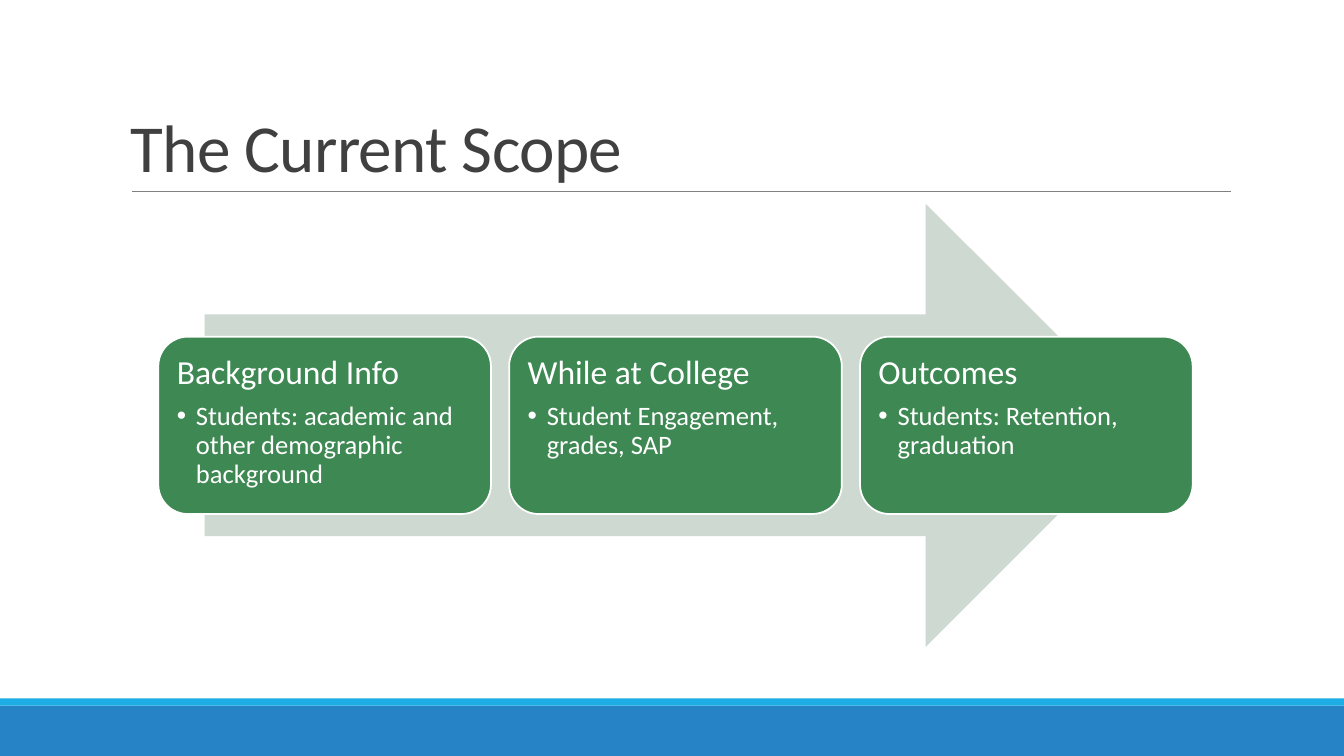
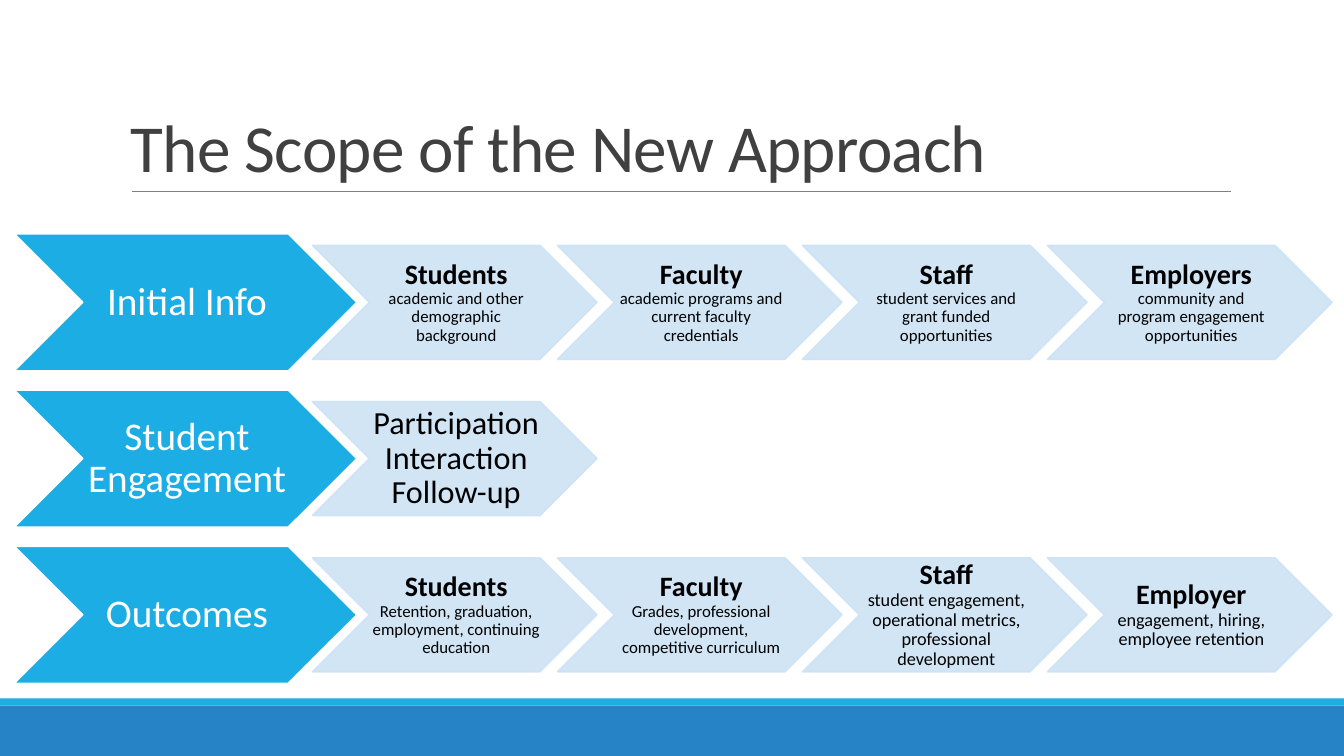
from dataclasses import dataclass

from lxml.etree import SubElement
from pptx import Presentation
from pptx.dml.color import RGBColor
from pptx.enum.shapes import MSO_CONNECTOR, MSO_SHAPE
from pptx.enum.text import MSO_ANCHOR, PP_ALIGN
from pptx.oxml.ns import qn
from pptx.util import Inches, Pt


@dataclass(frozen=True)
class Theme:
    """Colours, font and type sizes of the deck."""
    font: str = "Calibri"
    white: str = "FFFFFF"
    black: str = "000000"
    title: str = "404040"
    rule: str = "808080"
    band: str = "2683C6"
    accent: str = "1CADE4"
    arrow: str = "CEDAD1"
    stage: str = "3E8853"
    step: str = "CDE3F5"
    step_opacity: int = 90
    outline: float = 1.25
    title_size: int = 48
    stage_size: int = 24
    bullet_size: int = 19
    row_size: int = 28
    head_size: int = 20


THEME = Theme()

SCOPE_TITLE = "The Current Scope"
STAGES = [
    ("Background Info", "Students: academic and other demographic background"),
    ("While at College", "Student Engagement, grades, SAP"),
    ("Outcomes", "Students: Retention, graduation"),
]

APPROACH_TITLE = "The Scope of the New Approach"
# Each step is a list of lines: text, size, bold.
HEAD = (THEME.head_size, True)
ROWS = [
    ("Initial Info", [
        [("Students", *HEAD),
         ("academic and other demographic background", 12, False)],
        [("Faculty", *HEAD),
         ("academic programs and current faculty credentials", 12, False)],
        [("Staff", *HEAD),
         ("student services and grant funded opportunities", 12, False)],
        [("Employers", *HEAD),
         ("community and program engagement opportunities", 12, False)],
    ]),
    ("Student Engagement", [
        [(word, 23, False)
         for word in ("Participation", "Interaction", "Follow-up")],
    ]),
    ("Outcomes", [
        [("Students", *HEAD),
         ("Retention, graduation, employment, continuing education", 12, False)],
        [("Faculty", *HEAD),
         ("Grades, professional development, competitive curriculum", 12, False)],
        [("Staff", *HEAD),
         ("student engagement, operational metrics, professional development",
          13, False)],
        [("Employer", *HEAD),
         ("engagement, hiring, employee retention", 13, False)],
    ]),
]


def set_all(target, values):
    """Set every attribute named in a dict of format values."""
    for name, value in values.items():
        setattr(target, name, value)


def set_opacity(color_format, percent):
    """Make a solid fill partly transparent."""
    for color in color_format.iter(qn("a:srgbClr")):
        SubElement(color, qn("a:alpha"), val=str(percent * 1000))


def add_block(page, kind, area, fill, line=None, opacity=100):
    """Draw a filled preset shape, outlined when a line colour is given."""
    shape = page.shapes.add_shape(kind, *map(Inches, area))
    shape.shadow.inherit = False
    shape.fill.solid()
    shape.fill.fore_color.rgb = RGBColor.from_string(fill)
    if line:
        shape.line.color.rgb = RGBColor.from_string(line)
        shape.line.width = Pt(THEME.outline)
    else:
        shape.line.fill.background()
    if opacity < 100:
        set_opacity(shape.fill._xPr, opacity)
    return shape


def add_text_frame(page, area, anchor, insets):
    """Add a wrapping text box; insets run left, top, right, bottom."""
    frame = page.shapes.add_textbox(*map(Inches, area)).text_frame
    left, top, right, bottom = map(Inches, insets)
    set_all(frame, dict(word_wrap=True, vertical_anchor=anchor,
                        margin_left=left, margin_top=top,
                        margin_right=right, margin_bottom=bottom))
    return frame


def write_lines(para, lines, color, **layout):
    """Write styled lines, parted by line breaks, into one paragraph."""
    set_all(para, dict(line_spacing=0.9) | layout)
    for index, (text, size, bold) in enumerate(lines):
        if index:
            para.add_line_break()
        span = para.add_run()
        span.text = text
        set_all(span.font, dict(name=THEME.font, size=Pt(size), bold=bold))
        span.font.color.rgb = RGBColor.from_string(color)


def add_bullet(para, indent):
    """Give a paragraph a round bullet with a hanging indent."""
    props = para._p.get_or_add_pPr()
    props.set("marL", str(Inches(indent)))
    props.set("indent", str(-Inches(indent)))
    SubElement(props, qn("a:buFont"), typeface="Arial")
    SubElement(props, qn("a:buChar"), char="•")


def add_page(deck, title):
    """Start a page with the shared bands, title and rule."""
    page = deck.slides.add_slide(deck.slide_layouts[6])
    add_block(page, MSO_SHAPE.RECTANGLE, (0, 7, 13.33, 0.5), THEME.band)
    add_block(page, MSO_SHAPE.RECTANGLE, (0, 6.93, 13.33, 0.07), THEME.accent)
    rule = page.shapes.add_connector(
        MSO_CONNECTOR.STRAIGHT, *map(Inches, (1.31, 1.9, 12.21, 1.9)))
    rule.line.color.rgb = RGBColor.from_string(THEME.rule)
    rule.line.width = Pt(0.5)
    SubElement(rule._element.spPr, qn("a:effectLst"))
    frame = add_text_frame(page, (1.2, 0.31, 11, 1.59), MSO_ANCHOR.BOTTOM,
                           (0.1, 0.05, 0.1, 0.05))
    para = frame.paragraphs[0]
    write_lines(para, [(title, THEME.title_size, False)], THEME.title,
                line_spacing=0.85)
    para.runs[0].font._element.set("spc", "-50")
    return page


def add_stage(page, left, heading, detail):
    """Draw one rounded box with a heading and a bullet."""
    top, width, height, pad = 3.34, 3.3, 1.76, 0.085
    add_block(page, MSO_SHAPE.ROUNDED_RECTANGLE, (left, top, width, height),
              THEME.stage, THEME.white)
    area = (left + pad, top + pad, width - 2 * pad, height - 2 * pad)
    frame = add_text_frame(page, area, MSO_ANCHOR.TOP, (0.1,) * 4)
    write_lines(frame.paragraphs[0], [(heading, THEME.stage_size, False)],
                THEME.white, space_after=Pt(8))
    para = frame.add_paragraph()
    write_lines(para, [(detail, THEME.bullet_size, False)], THEME.white,
                level=1)
    add_bullet(para, 0.19)


def add_chevron(page, area, lines, fill, line, color, opacity=100):
    """Draw a chevron with centred text between its notch and its point."""
    left, top, width, height = area
    shape = add_block(page, MSO_SHAPE.CHEVRON, area, fill, line, opacity)
    if opacity < 100:
        set_opacity(shape.line._ln, opacity)
    text_area = (left + height / 2, top, width - height, height)
    frame = add_text_frame(page, text_area, MSO_ANCHOR.MIDDLE,
                           (0.03, 0.01, 0, 0.01))
    write_lines(frame.paragraphs[0], lines, color, alignment=PP_ALIGN.CENTER)


def build_scope(deck):
    """Build the page with three stages on a wide arrow."""
    page = add_page(deck, SCOPE_TITLE)
    add_block(page, MSO_SHAPE.RIGHT_ARROW, (2.03, 2.02, 9.35, 4.4), THEME.arrow)
    for index, (heading, detail) in enumerate(STAGES):
        add_stage(page, 1.57 + 3.48 * index, heading, detail)


def build_approach(deck):
    """Build the page with rows of chevrons."""
    page = add_page(deck, APPROACH_TITLE)
    row_height, step_height = 1.36, 1.13
    for row, (label, steps) in enumerate(ROWS):
        top = 2.32 + 1.55 * row
        add_chevron(page, (0.14, top, 3.4, row_height),
                    [(label, THEME.row_size, False)],
                    THEME.accent, THEME.white, THEME.white)
        step_top = top + (row_height - step_height) / 2
        for column, lines in enumerate(steps):
            add_chevron(page, (3.1 + 2.43 * column, step_top, 2.82, step_height),
                        lines, THEME.step, THEME.step, THEME.black,
                        THEME.step_opacity)


def main():
    """Build and save the deck."""
    deck = Presentation()
    set_all(deck, dict(slide_width=Inches(13.33), slide_height=Inches(7.5)))
    build_scope(deck)
    build_approach(deck)
    deck.save("out.pptx")


main()
